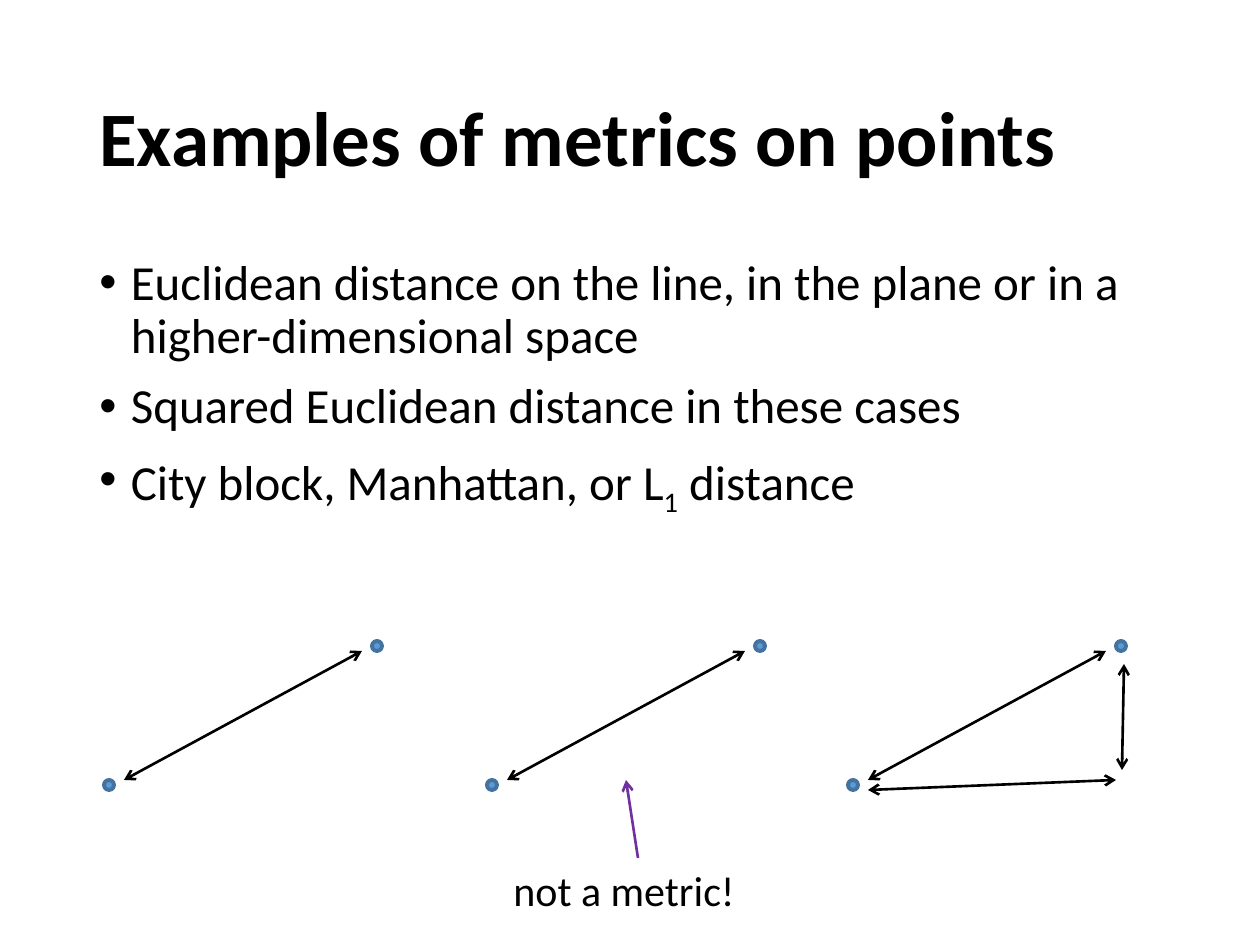
from lxml.etree import SubElement
from pptx import Presentation
from pptx.dml.color import RGBColor
from pptx.enum.shapes import MSO_CONNECTOR, MSO_SHAPE
from pptx.enum.text import MSO_ANCHOR
from pptx.oxml.ns import qn
from pptx.util import Pt

PX = 914400 / 126
COLORS = {"text": "000000", "dot": "5B9BD5", "ring": "43739E", "note": "7030A0"}

deck = Presentation()
deck.slide_width, deck.slide_height = round(1260 * PX), round(945 * PX)
page = deck.slides.add_slide(deck.slide_layouts[6])


def add_text(left, top, width, height, paragraphs, size, bold=False, wrap=True):
    """Add a text box; each paragraph is a list of (text, baseline) spans."""
    box = page.shapes.add_textbox(*(round(v * PX) for v in (left, top, width, height)))
    box.text_frame.word_wrap = wrap
    for index, spans in enumerate(paragraphs):
        frame = box.text_frame
        para = frame.paragraphs[0] if index == 0 else frame.add_paragraph()
        for text, baseline in spans:
            span = para.add_run()
            span.text = text
            span.font.name = "Calibri"
            span.font.size = Pt(size)
            span.font.bold = bold
            span.font.color.rgb = RGBColor.from_string(COLORS["text"])
            if baseline:
                span.font._element.set("baseline", str(baseline * 1000))
    return box


def add_arrow(start, end, color="text", both=True):
    arrow = page.shapes.add_connector(
        MSO_CONNECTOR.STRAIGHT, *(round(v * PX) for v in (*start, *end)))
    arrow.line.width = Pt(1.5)
    arrow.line.color.rgb = RGBColor.from_string(COLORS[color])
    line = arrow.line._get_or_add_ln()
    for tag in ("a:headEnd", "a:tailEnd") if both else ("a:tailEnd",):
        SubElement(line, qn(tag), type="arrow")
    SubElement(arrow._element.spPr, qn("a:effectLst"))


# Title
title = add_text(87, 50, 1086, 183, [[("Examples of metrics on points", 0)]], 44, bold=True)
title.text_frame.vertical_anchor = MSO_ANCHOR.MIDDLE
title.text_frame.paragraphs[0].line_spacing = 0.9

# Bulleted list
bullets = add_text(87, 252, 1086, 271, [
    [("Euclidean distance on the line, in the plane or in a higher-dimensional space", 0)],
    [("Squared Euclidean distance in these cases", 0)],
    [("City block, Manhattan, or L", 0), ("1", -25), (" distance", 0)],
], 28)
for index, para in enumerate(bullets.text_frame.paragraphs):
    properties = para._p.get_or_add_pPr()
    properties.set("marL", "228600")
    properties.set("indent", "-228600")
    SubElement(properties, qn("a:buFont"), typeface="Arial")
    SubElement(properties, qn("a:buChar"), char="•")
    para.line_spacing = 0.9
    if index:
        para.space_before = Pt(10)

# Three point pairs, each with its direct distance
for x in (109, 492, 853):
    for center_x, center_y in ((x, 785), (x + 268, 646)):
        dot = page.shapes.add_shape(
            MSO_SHAPE.OVAL, *(round(v * PX) for v in (center_x - 5, center_y - 5, 10, 10)))
        dot.shadow.inherit = False
        dot.fill.solid()
        dot.fill.fore_color.rgb = RGBColor.from_string(COLORS["dot"])
        dot.line.color.rgb = RGBColor.from_string(COLORS["ring"])
        dot.line.width = Pt(2.25)
    add_arrow((x + 15, 780), (x + 253, 651))

# City block legs of the third pair
add_arrow((868, 790), (1116, 780))
add_arrow((1122, 770), (1124, 664))

# Remark on the squared distance
add_text(501, 858, 248, 63, [[("not a metric!", 0)]], 24, wrap=False)
add_arrow((638, 858), (626, 780), color="note", both=False)

deck.save("out.pptx")
